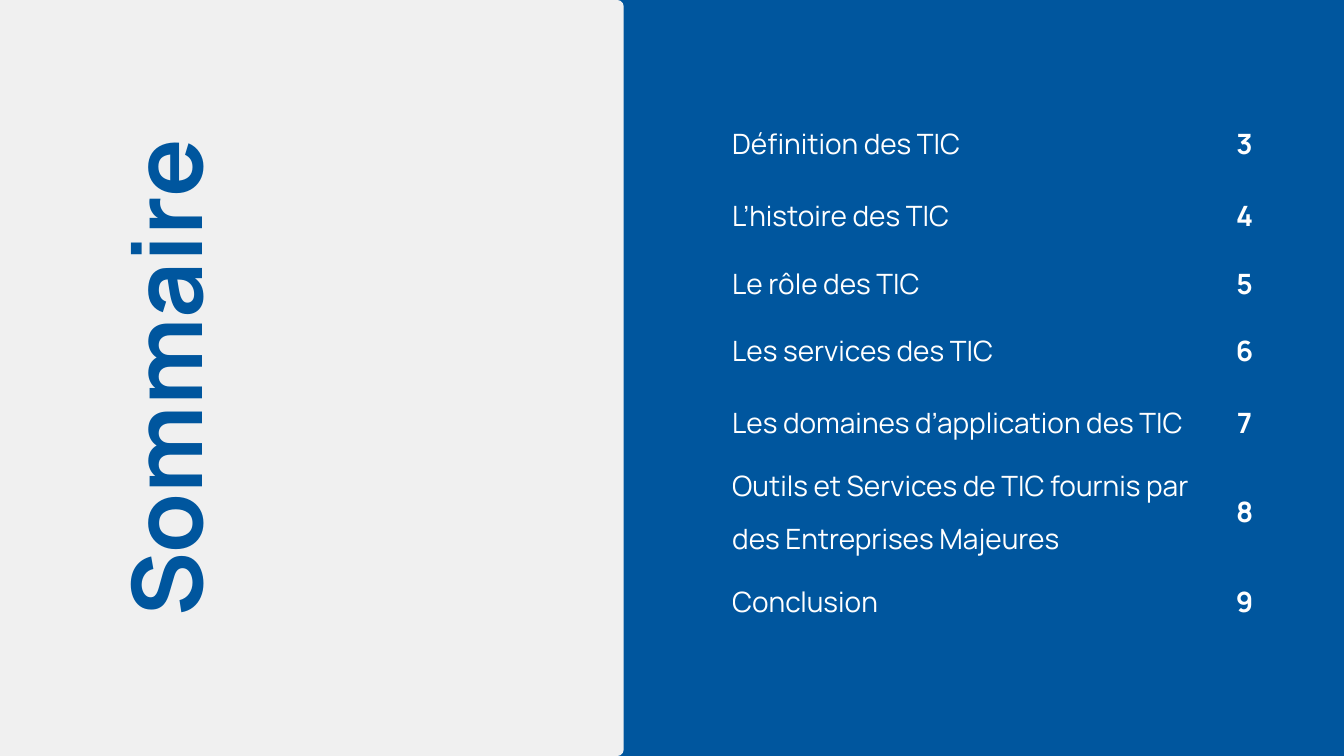
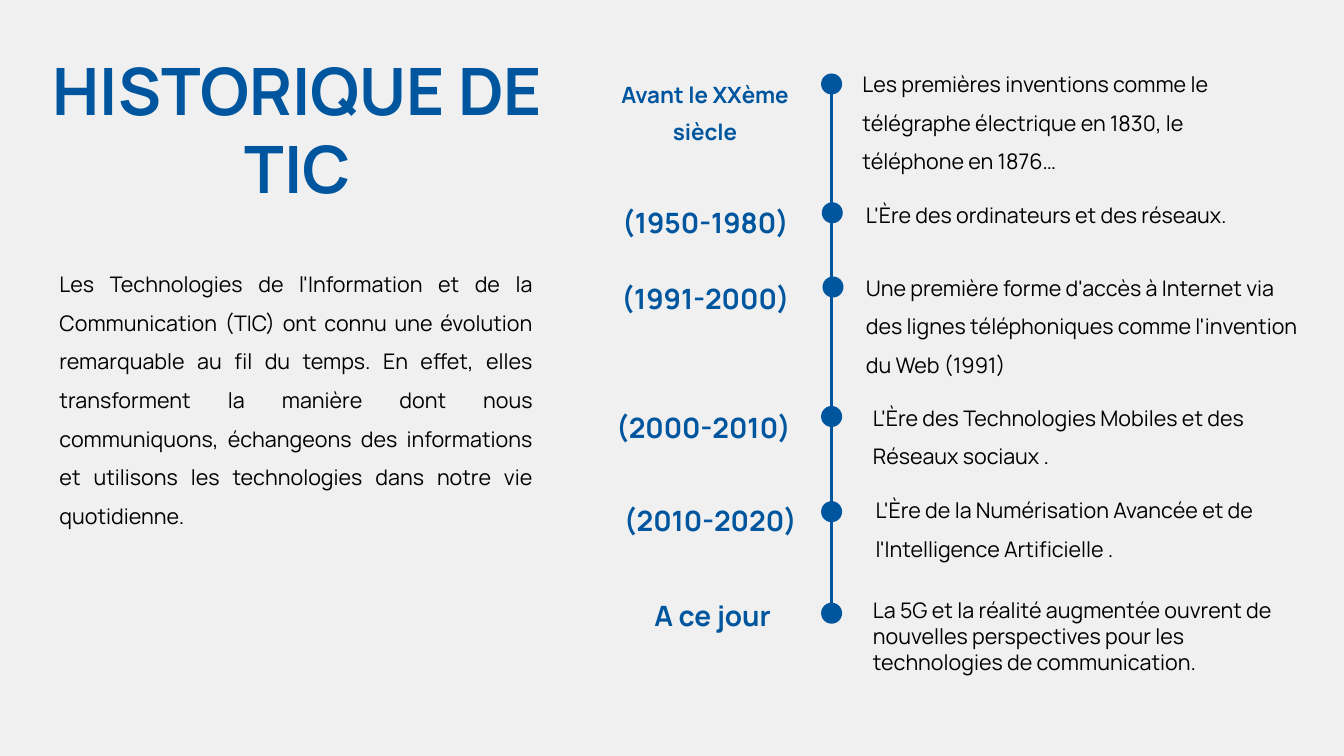
import pptx
import pptx.util
import pptx.dml.color
import pptx.enum.shapes
import pptx.enum.text
import pptx.oxml.ns
from lxml import etree

BLUE = pptx.dml.color.RGBColor(0x00, 0x56, 0x9E)
PALE = pptx.dml.color.RGBColor(0xF0, 0xF0, 0xF0)
WHITE = pptx.dml.color.RGBColor(0xFF, 0xFF, 0xFF)
BLACK = pptx.dml.color.RGBColor(0x00, 0x00, 0x00)
FONT = "Manrope"

WIDTH, HEIGHT = 1920, 1080
EMU_PER_PX = 9525
SHAPE = pptx.enum.shapes.MSO_SHAPE
ALIGN = pptx.enum.text.PP_ALIGN

# Contents: entry, page number, row height
CONTENTS = [
    ("Définition des TIC", "3", 103),
    ("L’histoire des TIC", "4", 103),
    ("Le rôle des TIC", "5", 90),
    ("Les services des TIC", "6", 102),
    ("Les domaines d’application des TIC", "7", 103),
    ("Outils et Services de TIC fournis par des Entreprises Majeures", "8", 102),
    ("Conclusion", "9", 102),
]
CONTENTS_COLUMNS = (708, 48)

INTRO = (
    "Les Technologies de l'Information et de la Communication (TIC) ont connu "
    "une évolution remarquable au fil du temps. En effet, elles transforment la "
    "manière dont nous communiquons, échangeons des informations et utilisons "
    "les technologies dans notre vie quotidienne."
)

# Period, its box and size; dot corner; event, its box, alignment and spacing
TIMELINE = [
    ("Avant le XXème siècle", (845, 100, 324, 135), 24, (1173, 105),
     "Les premières inventions comme le télégraphe électrique en 1830, "
     "le téléphone en 1876…", (1232, 83, 597, 172), ALIGN.LEFT, 1.5),
    ("(1950-1980) ", (868, 275, 288, 68), 30, (1174, 289),
     "L'Ère des ordinateurs et des réseaux. ",
     (1237, 289, 593, 37), ALIGN.JUSTIFY, 1.0),
    ("(1991-2000) ", (868, 383, 288, 68), 30, (1175, 395),
     "Une première forme d'accès à Internet via des lignes téléphoniques "
     "comme l'invention du Web (1991)", (1237, 374, 625, 167), ALIGN.LEFT, 1.5),
    ("(2000-2010) ", (855, 567, 308, 68), 30, (1173, 580),
     "L'Ère des Technologies Mobiles et des Réseaux sociaux .",
     (1247, 560, 584, 111), ALIGN.LEFT, 1.5),
    ("(2010-2020) ", (865, 700, 308, 68), 30, (1173, 716),
     "L'Ère de la Numérisation Avancée et de l'Intelligence Artificielle .",
     (1251, 692, 584, 111), ALIGN.LEFT, 1.5),
    ("A ce jour ", (868, 836, 308, 72), 30, (1173, 861),
     "La 5G et la réalité augmentée ouvrent de nouvelles perspectives pour "
     "les technologies de communication.",
     (1247, 853, 600, 111), ALIGN.LEFT, 1.0),
]
DOT = 30
AXIS_X, AXIS_TOP, AXIS_BOTTOM = 1188, 123, 872


def px(*lengths):
    return [pptx.util.Emu(length * EMU_PER_PX) for length in lengths]


def add_page(deck, colour):
    page = deck.slides.add_slide(deck.slide_layouts[6])
    page.background.fill.solid()
    page.background.fill.fore_color.rgb = colour
    return page


def write(frame, text, size, colour, bold=False, align=ALIGN.LEFT, spacing=1.0):
    frame.text = text
    para = frame.paragraphs[0]
    para.alignment = align
    para.line_spacing = spacing
    font = para.runs[0].font
    font.name, font.size, font.bold = FONT, pptx.util.Pt(size), bold
    font.color.rgb = colour


def add_text(page, place, text, size, colour, **style):
    box = page.shapes.add_textbox(*px(*place))
    frame = box.text_frame
    frame.word_wrap = True
    frame.auto_size = pptx.enum.text.MSO_AUTO_SIZE.SHAPE_TO_FIT_TEXT
    frame.margin_left = frame.margin_right = 0
    frame.margin_top = frame.margin_bottom = 0
    write(frame, text, size, colour, **style)
    return box


def add_title(page, place, text, size):
    return add_text(page, place, text, size, BLUE, bold=True, align=ALIGN.CENTER)


def add_filled(page, kind, place, colour):
    shape = page.shapes.add_shape(kind, *px(*place))
    shape.shadow.inherit = False
    shape.fill.solid()
    shape.fill.fore_color.rgb = colour
    shape.line.fill.background()
    return shape


def set_borders(cell, colour, width):
    properties = cell._tc.get_or_add_tcPr()
    for position, side in enumerate(("a:lnL", "a:lnR", "a:lnT", "a:lnB")):
        line = etree.Element(pptx.oxml.ns.qn(side), w=str(pptx.util.Pt(width)))
        fill = etree.SubElement(line, pptx.oxml.ns.qn("a:solidFill"))
        etree.SubElement(fill, pptx.oxml.ns.qn("a:srgbClr"), val=str(colour))
        properties.insert(position, line)


def add_contents_table(page):
    heights = [height for _, _, height in CONTENTS]
    place = px(1046, 143, sum(CONTENTS_COLUMNS), sum(heights))
    table = page.shapes.add_table(len(CONTENTS), 2, *place).table
    table.first_row = table.horz_banding = False
    for column, width in zip(table.columns, px(*CONTENTS_COLUMNS)):
        column.width = width
    for row, height, (entry, number, _) in zip(table.rows, px(*heights), CONTENTS):
        row.height = height
        write(row.cells[0].text_frame, entry, 30, WHITE, spacing=1.4)
        write(row.cells[1].text_frame, number, 30, WHITE, bold=True,
              align=ALIGN.CENTER, spacing=1.4)
        for cell in row.cells:
            cell.margin_left = cell.margin_right = 0
            cell.margin_top = cell.margin_bottom = 0
            cell.vertical_anchor = pptx.enum.text.MSO_ANCHOR.MIDDLE
            cell.fill.background()
            set_borders(cell, BLUE, 0.75)


def build_contents(deck):
    page = add_page(deck, BLUE)
    add_contents_table(page)
    panel = add_filled(page, SHAPE.ROUNDED_RECTANGLE, (0, 0, 891, HEIGHT), PALE)
    panel.adjustments[0] = 0.01
    add_filled(page, SHAPE.RECTANGLE, (0, -25, 575, HEIGHT + 25), PALE)
    add_title(page, (-197, 456, 864, 168), "Sommaire", 104).rotation = 270


def build_history(deck):
    page = add_page(deck, PALE)
    axis = page.shapes.add_connector(
        pptx.enum.shapes.MSO_CONNECTOR.STRAIGHT,
        *px(AXIS_X, AXIS_TOP, AXIS_X, AXIS_BOTTOM))
    axis.line.color.rgb = BLUE
    axis.line.width = pptx.util.Pt(3)
    etree.SubElement(axis._element.spPr, pptx.oxml.ns.qn("a:effectLst"))

    add_title(page, (73, 71, 704, 227), "HISTORIQUE DE TIC", 70)
    add_text(page, (85, 369, 677, 390), INTRO, 23, BLACK,
             align=ALIGN.JUSTIFY, spacing=1.5)
    for period, period_place, size, dot, event, event_place, align, spacing in TIMELINE:
        add_filled(page, SHAPE.OVAL, (*dot, DOT, DOT), BLUE)
        add_text(page, period_place, period, size, BLUE, bold=True,
                 align=ALIGN.CENTER, spacing=1.4)
        add_text(page, event_place, event, 23, BLACK, align=align, spacing=spacing)


def main():
    deck = pptx.Presentation()
    deck.slide_width, deck.slide_height = px(WIDTH, HEIGHT)
    build_contents(deck)
    build_history(deck)
    deck.save("out.pptx")


if __name__ == "__main__":
    main()
